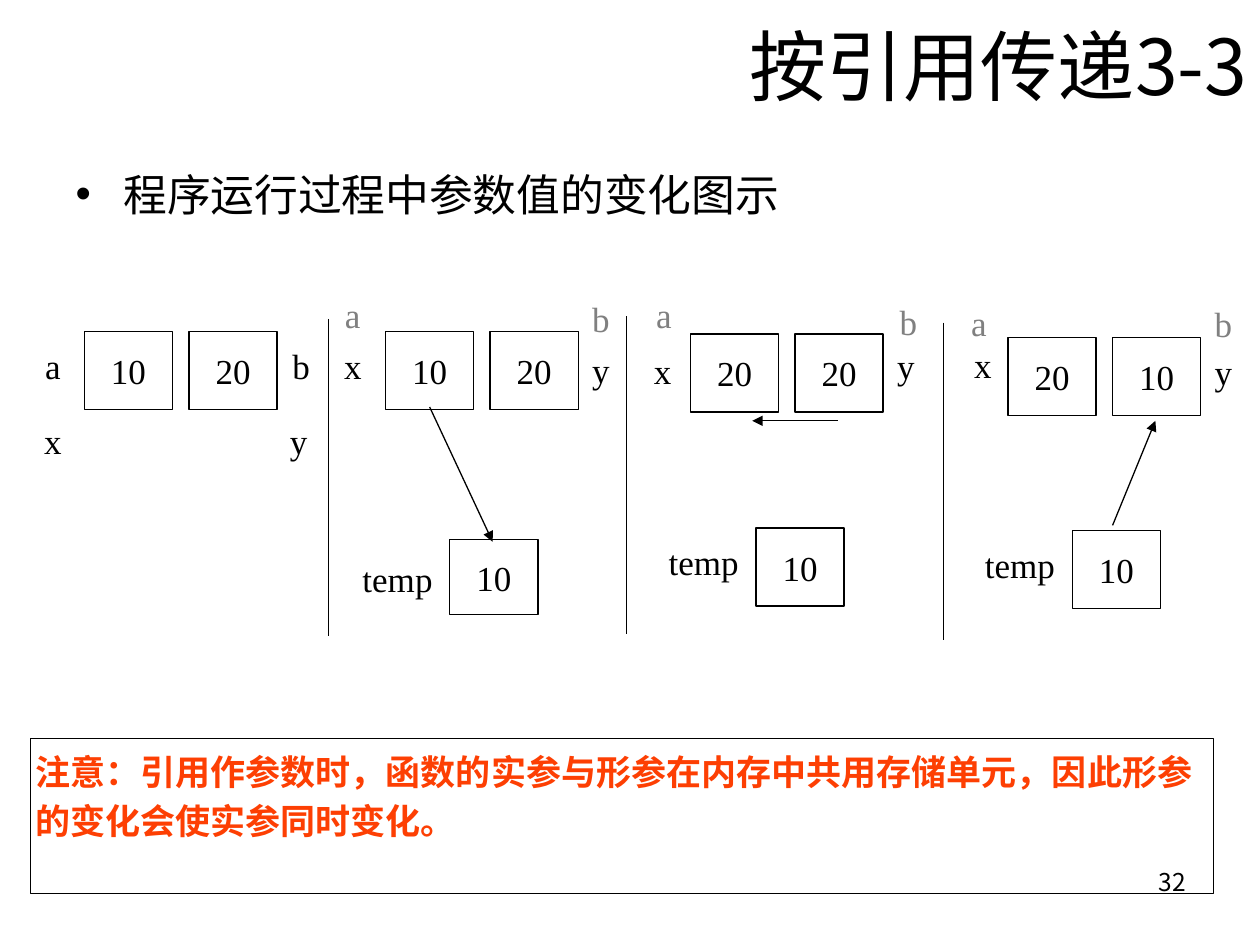
from lxml import etree
from pptx import Presentation
from pptx.dml.color import RGBColor
from pptx.enum.shapes import MSO_CONNECTOR, MSO_SHAPE
from pptx.enum.text import MSO_ANCHOR, MSO_AUTO_SIZE, PP_ALIGN
from pptx.oxml.ns import qn
from pptx.util import Inches, Pt

CJK = "Noto Sans CJK SC"
SERIF = "Times New Roman"
BLACK, GRAY, ORANGE = "000000", "808080", "FD3F03"
CELL_WIDTH, CELL_HEIGHT, CELL_STEP = 0.7, 0.62, 0.83
LABEL_HEIGHT, DIVIDER_HEIGHT = 0.6, 2.52

# Each panel starts at its first cell; all other positions are offsets from it.
PANELS = [
    dict(origin=(0.67, 2.63), values=("10", "20"),
         labels=[("a", -0.43, -0.03, BLACK), ("x", -0.43, 0.57, BLACK),
                 ("b", 1.54, -0.03, BLACK), ("y", 1.52, 0.57, BLACK)]),
    dict(origin=(3.06, 2.63), values=("10", "20"),
         labels=[("a", -0.44, -0.43, GRAY), ("x", -0.44, -0.03, BLACK),
                 ("b", 1.53, -0.4, GRAY), ("y", 1.53, 0, BLACK)],
         divider=(-0.45, -0.1), temp=(0.51, 1.65, 0.6, 0.01),
         arrow=((0.35, 0.6), (0.85, 1.67))),
    dict(origin=(5.48, 2.65), values=("20", "20"),
         labels=[("a", -0.39, -0.45, GRAY), ("x", -0.4, -0.01, BLACK),
                 ("b", 1.55, -0.4, GRAY), ("y", 1.53, -0.05, BLACK)],
         divider=(-0.51, -0.14), temp=(0.52, 1.54, CELL_HEIGHT, -0.03),
         arrow=((1.17, 0.69), (0.49, 0.69))),
    dict(origin=(8, 2.68), values=("20", "10"),
         labels=[("a", -0.41, -0.42, GRAY), ("x", -0.38, -0.09, BLACK),
                 ("b", 1.53, -0.41, GRAY), ("y", 1.53, -0.03, BLACK)],
         divider=(-0.51, -0.12), temp=(0.51, 1.53, CELL_HEIGHT, -0.03),
         arrow=((0.83, 1.49), (1.17, 0.66))),
]


def color(value):
    return RGBColor.from_string(value)


def place(shape, box):
    shape.left, shape.top, shape.width, shape.height = map(Inches, box)


def write(shape, text, size=20, font=SERIF, fill=BLACK, bold=False,
          align=PP_ALIGN.CENTER, anchor=MSO_ANCHOR.MIDDLE,
          margins=(0.02, 0.01, 0.02, 0.01), spacing=None):
    """Put one formatted paragraph in the shape and return the paragraph."""
    frame = shape.text_frame
    frame.auto_size = MSO_AUTO_SIZE.NONE
    frame.word_wrap = True
    frame.vertical_anchor = anchor
    (frame.margin_left, frame.margin_top,
     frame.margin_right, frame.margin_bottom) = map(Inches, margins)
    paragraph = frame.paragraphs[0]
    paragraph.alignment = align
    paragraph.space_before = Pt(0)
    paragraph.line_spacing = spacing
    run = paragraph.add_run()
    run.text = text
    run.font.size = Pt(size)
    run.font.name = font
    run.font.bold = bold
    run.font.color.rgb = color(fill)
    east_asian = etree.SubElement(run.font._element, qn("a:ea"))
    east_asian.set("typeface", CJK)
    return paragraph


def add_text(slide, box, text, **text_format):
    shape = slide.shapes.add_textbox(*map(Inches, box))
    write(shape, text, **text_format)


def add_box(slide, box, text, **text_format):
    shape = slide.shapes.add_shape(MSO_SHAPE.RECTANGLE, *map(Inches, box))
    shape.shadow.inherit = False
    shape.fill.background()
    shape.line.color.rgb = color(BLACK)
    shape.line.width = Pt(0.75)
    write(shape, text, **text_format)


def add_line(slide, start, end, arrow=False):
    line = slide.shapes.add_connector(
        MSO_CONNECTOR.STRAIGHT, *map(Inches, (*start, *end)))
    line.line.color.rgb = color(BLACK)
    line.line.width = Pt(0.75)
    if arrow:
        etree.SubElement(line.line._get_or_add_ln(), qn("a:tailEnd"), type="triangle")
    etree.SubElement(line._element.spPr, qn("a:effectLst"))


def add_title(slide, box, text):
    title = slide.shapes.title
    place(title, box)
    write(title, text, size=44, font=CJK, align=PP_ALIGN.RIGHT,
          margins=(0.1, 0.05, 0.1, 0.05))


def add_body(slide, box, text):
    body = slide.placeholders[1]
    place(body, box)
    paragraph = write(body, text, size=25, font="Arial", align=PP_ALIGN.LEFT,
                      anchor=MSO_ANCHOR.TOP, margins=(0.1, 0.05, 0.1, 0.05))
    properties = paragraph._p.get_or_add_pPr()
    properties.set("marL", str(Inches(0.38)))
    properties.set("indent", str(-Inches(0.38)))
    etree.SubElement(properties, qn("a:buFont"), typeface="Arial")
    etree.SubElement(properties, qn("a:buChar"), char="•")


def add_panel(slide, origin, values, labels, divider=None, temp=None, arrow=None):
    """Draw one step of the swap: cells, names, temp cell and arrow."""
    left, top = origin

    def at(x, y):
        return left + x, top + y

    if divider:
        x, y = divider
        add_line(slide, at(x, y), at(x, y + DIVIDER_HEIGHT))
    for index, value in enumerate(values):
        add_box(slide, (*at(index * CELL_STEP, 0), CELL_WIDTH, CELL_HEIGHT), value)
    for name, x, y, fill in labels:
        add_text(slide, (*at(x, y), 0.36, LABEL_HEIGHT), name, fill=fill)
    if temp:
        x, y, height, label_shift = temp
        add_box(slide, (*at(x, y), CELL_WIDTH, height), "10")
        add_text(slide, (*at(x - 0.76, y + label_shift), 0.69, LABEL_HEIGHT), "temp")
    if arrow:
        start, end = arrow
        add_line(slide, at(*start), at(*end), arrow=True)


def main():
    presentation = Presentation()
    presentation.slide_width, presentation.slide_height = Inches(10), Inches(7.5)
    slide = presentation.slides.add_slide(presentation.slide_layouts[1])
    add_title(slide, (1, 0, 9, 1.03), "按引用传递3-3")
    add_body(slide, (0.5, 1.28, 9, 4.95), "程序运行过程中参数值的变化图示")
    add_text(slide, (7.17, 6.83, 2.34, 0.52), "32", size=14, font=CJK,
             align=PP_ALIGN.RIGHT, anchor=MSO_ANCHOR.TOP,
             margins=(0.1, 0.05, 0.1, 0.05))
    for panel in PANELS:
        add_panel(slide, **panel)
    add_box(slide, (0.24, 5.86, 9.39, 1.23),
            "注意：引用作参数时，函数的实参与形参在内存中共用存储单元，因此形参的变化会使实参同时变化。",
            font="Arial", fill=ORANGE, bold=True, align=PP_ALIGN.LEFT,
            anchor=MSO_ANCHOR.TOP, margins=(0.04, 0.05, 0, 0.05), spacing=1.15)
    presentation.save("out.pptx")


if __name__ == "__main__":
    main()
